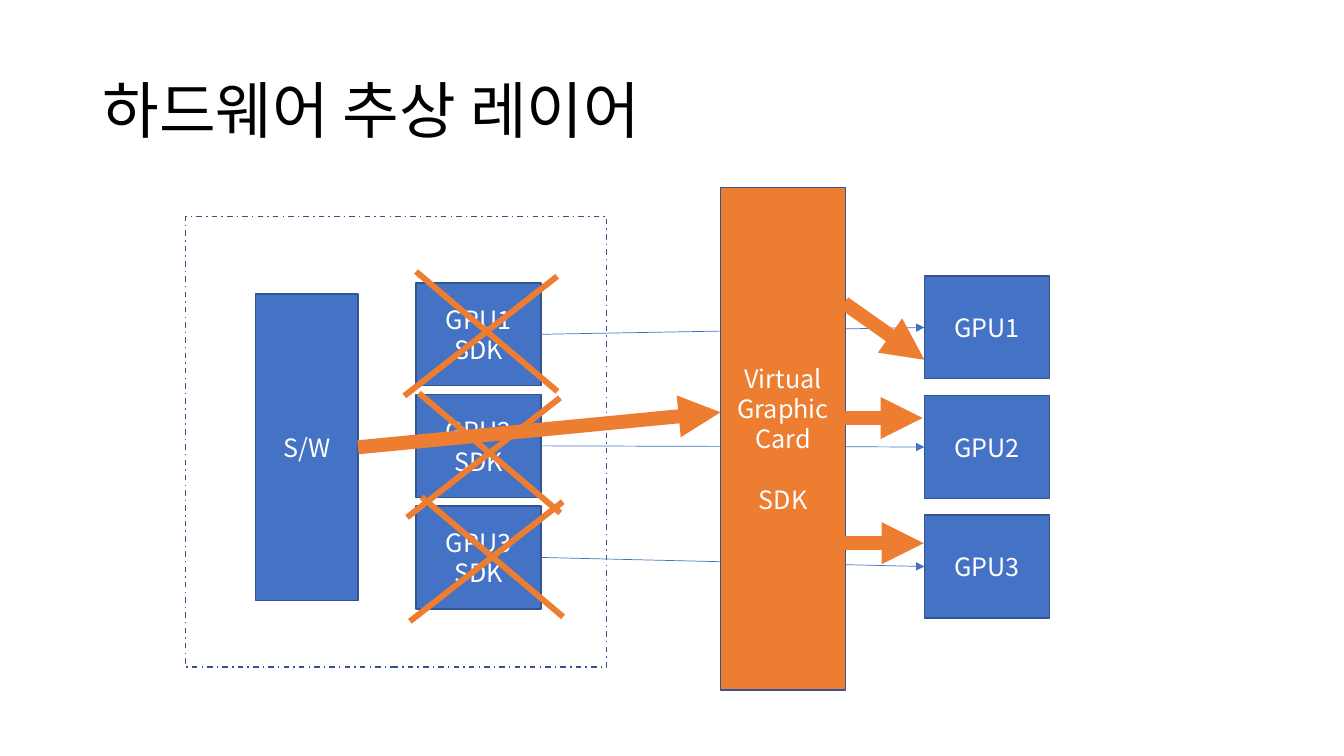
from lxml.etree import SubElement
from pptx import Presentation
from pptx.dml.color import RGBColor
from pptx.enum.dml import MSO_LINE
from pptx.enum.shapes import MSO_CONNECTOR, MSO_SHAPE
from pptx.enum.text import MSO_ANCHOR, PP_ALIGN
from pptx.oxml.ns import qn
from pptx.util import Pt

FONT = "Noto Sans CJK KR"
COLORS = {"blue": "4472C4", "border": "325491", "orange": "ED7D31",
          "white": "FFFFFF", "black": "000000"}
RGB = {name: RGBColor.from_string(value) for name, value in COLORS.items()}
BOX_W, BOX_H = 89.3, 73.4

prs = Presentation()
prs.slide_width, prs.slide_height = Pt(960), Pt(540)
s = prs.slides.add_slide(prs.slide_layouts[5])


def add_box(left, top, width, height, fill=None, lines=()):
    sp = s.shapes.add_shape(MSO_SHAPE.RECTANGLE, Pt(left), Pt(top), Pt(width), Pt(height))
    sp.shadow.inherit = False
    sp.line.color.rgb = RGB["border"]
    sp.line.width = Pt(1)
    if fill:
        sp.fill.solid()
        sp.fill.fore_color.rgb = RGB[fill]
    else:
        sp.fill.background()
    tf = sp.text_frame
    tf.word_wrap = True
    tf.vertical_anchor = MSO_ANCHOR.MIDDLE
    tf.text = "\n".join(lines)
    for p in tf.paragraphs:
        p.alignment = PP_ALIGN.CENTER
        p.font.name, p.font.size = FONT, Pt(18)
        p.font.color.rgb = RGB["white"]
    return sp


def add_line(x1, y1, x2, y2, color, width, arrow=True):
    c = s.shapes.add_connector(MSO_CONNECTOR.STRAIGHT, Pt(x1), Pt(y1), Pt(x2), Pt(y2))
    c.line.color.rgb = RGB[color]
    c.line.width = Pt(width)
    if arrow:
        SubElement(c.line._get_or_add_ln(), qn("a:tailEnd"), type="triangle")
    SubElement(c._element.spPr, qn("a:effectLst"))
    return c


# Title
title = s.shapes.title
title.left, title.top, title.width, title.height = Pt(66), Pt(28.8), Pt(828), Pt(104.4)
tf = title.text_frame
tf.text = "하드웨어 추상 레이어"
tf.vertical_anchor = MSO_ANCHOR.MIDDLE
p = tf.paragraphs[0]
p.alignment = PP_ALIGN.LEFT
p.line_spacing = 0.9
p.font.name, p.font.size = FONT, Pt(44)
p.font.color.rgb = RGB["black"]
SubElement(p.runs[0].font._element, qn("a:ea"), typeface=FONT)

# Software, SDKs and GPUs
gpus = [add_box(660.3, 197.2 + 85.4 * i, BOX_W, BOX_H, "blue", [f"GPU{i + 1}"])
        for i in range(3)]
software = add_box(182.7, 210, 73, 219, "blue", ["S/W"])
sdks = [add_box(297.2, 202.1 + 79.7 * i, BOX_W, BOX_H, "blue", [f"GPU{i + 1}", "SDK"])
        for i in range(3)]

# Dashed frame around the software side
frame = add_box(132.4, 154.7, 301, 321.8)
frame.line.dash_style = MSO_LINE.DASH_DOT

# Direct links from each SDK to its GPU
for sdk, gpu in zip(sdks, gpus):
    link = add_line(0, 0, 0, 0, "blue", 0.5)
    link.begin_connect(sdk, 3)
    link.end_connect(gpu, 1)

# Virtual card layer
card = add_box(514.7, 134, BOX_W, 358.8, "orange", ["Virtual Graphic Card", "SDK"])
card.text_frame.paragraphs[1].space_before = Pt(21.6)

# Crosses over the SDKs
for dx, dy in [(0, 0), (2, 86.8), (4, 161)]:
    add_line(398 + dx, 197.4 + dy, 288.8 + dx, 282.8 + dy, "orange", 4.25, arrow=False)
    add_line(297.2 + dx, 194 + dy, 398.2 + dx, 279.6 + dy, "orange", 4.25, arrow=False)

# Thick arrows through the virtual card
call = add_line(255.7, 319.5, 514.7, 294.5, "orange", 10)
call.begin_connect(software, 3)
for x1, y1, x2, y2 in [(603, 216.5, 660.3, 257), (603.4, 388, 659.8, 388),
                       (603, 298.6, 659, 298.6)]:
    add_line(x1, y1, x2, y2, "orange", 10)

prs.save("out.pptx")
